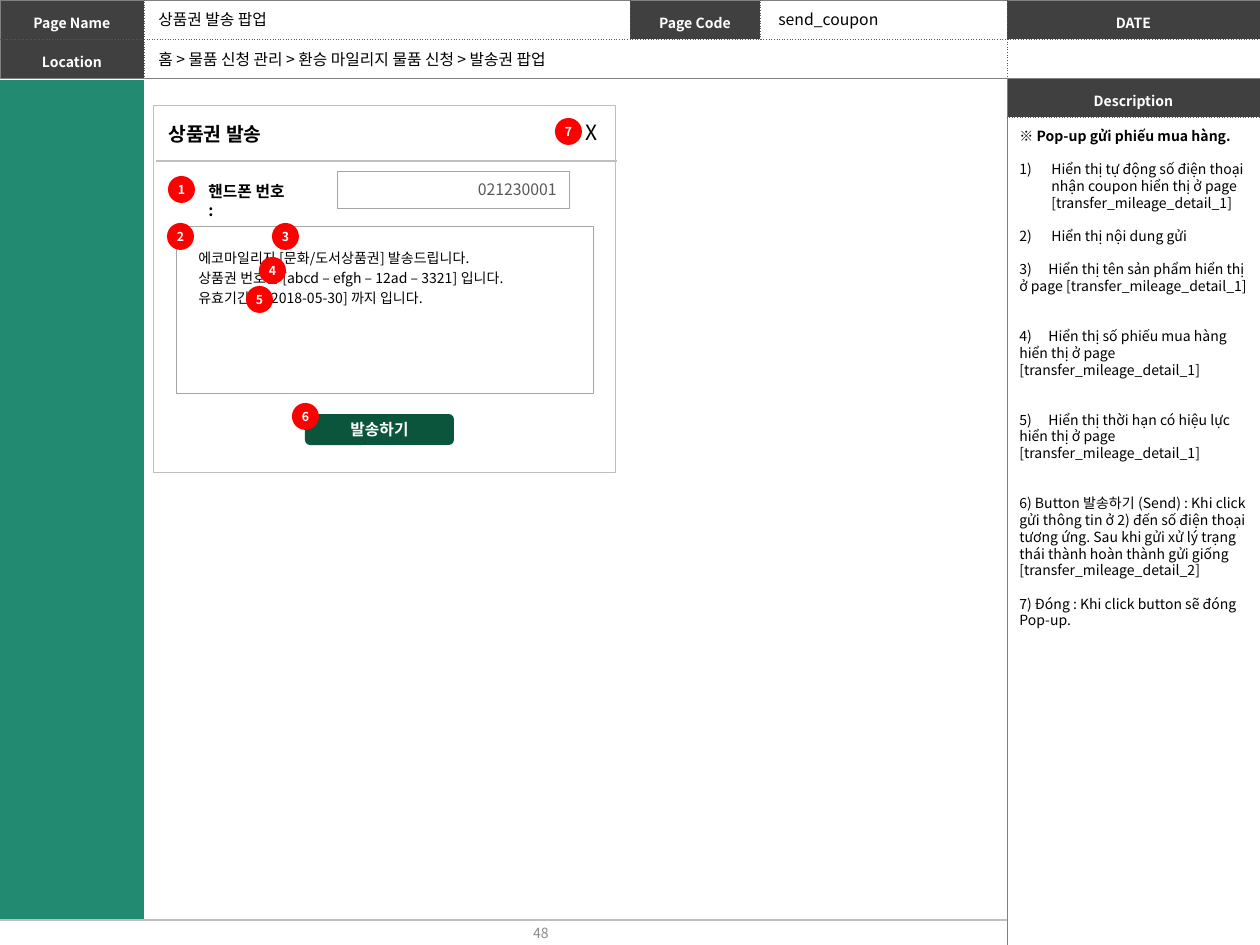
from lxml import etree
from pptx import Presentation
from pptx import util as u
from pptx.dml.color import RGBColor
from pptx.enum import shapes, text
from pptx.oxml.ns import qn

FONT = "Noto Sans CJK KR"
BLACK = RGBColor(0x00, 0x00, 0x00)
WHITE = RGBColor(0xFF, 0xFF, 0xFF)
CHARCOAL = RGBColor(0x40, 0x40, 0x40)
DARK_GRAY = RGBColor(0x59, 0x59, 0x59)
GRAY = RGBColor(0x80, 0x80, 0x80)
PAGE_GRAY = RGBColor(0x8C, 0x8C, 0x8C)
FIELD_GRAY = RGBColor(0xA6, 0xA6, 0xA6)
LIGHT_GRAY = RGBColor(0xBF, 0xBF, 0xBF)
TEAL = RGBColor(0x22, 0x8A, 0x71)
GREEN = RGBColor(0x0B, 0x55, 0x3C)
RED = RGBColor(0xFF, 0x00, 0x00)

LEFT, CENTER, RIGHT = text.PP_ALIGN.LEFT, text.PP_ALIGN.CENTER, text.PP_ALIGN.RIGHT
RECT, ROUND, OVAL = (shapes.MSO_SHAPE.RECTANGLE, shapes.MSO_SHAPE.ROUNDED_RECTANGLE,
                     shapes.MSO_SHAPE.OVAL)
BADGE = 27
HANGING = 32
BLANK_LINE = 9.5

HEADER = [["Page Name", "", "Page Code", "", "DATE"], ["Location", "", "", "", ""]]
HEADER_COLUMNS = [144, 486, 130, 247, 253]
HEADER_ROWS = [39, 39]
SIDEBAR = [["Description"], [""]]
SIDEBAR_ROWS = [39, 828]

NOTES = [
    ("plain", 0, "※ Pop-up gửi phiếu mua hàng."),
    ("number", 1, "Hiển thị tự động số điện thoại nhận coupon hiển thị ở page [transfer_mileage_detail_1]"),
    ("number", 1, "Hiển thị nội dung gửi"),
    ("tab", 1, "3)\tHiển thị tên sản phẩm hiển thị ở page [transfer_mileage_detail_1]"),
    ("tab", 2, "4)\tHiển thị số phiếu mua hàng hiển thị ở page [transfer_mileage_detail_1]"),
    ("tab", 2, "5)\tHiển thị thời hạn có hiệu lực hiển thị ở page [transfer_mileage_detail_1]"),
    ("plain", 2, "6) Button 발송하기 (Send) : Khi click gửi thông tin ở 2) đến số điện thoại tương ứng. "
                 "Sau khi gửi xử lý trạng thái thành hoàn thành gửi giống [transfer_mileage_detail_2]"),
    ("plain", 1, "7) Đóng : Khi click button sẽ đóng Pop-up."),
]
MESSAGE = [
    "에코마일리지 [문화/도서상품권] 발송드립니다.",
    "상품권 번호는 [abcd – efgh – 12ad – 3321] 입니다.",
    "유효기간은 [2018-05-30] 까지 입니다.",
]
LABELS = [
    ("상품권 발송", (156, 116, 122, 37), dict(size=11, bold=True)),
    ("X", (573, 113, 39, 38), dict(size=12)),
    ("핸드폰 번호\t:", (196, 176, 118, 32), dict(size=9, bold=True, tab=89)),
    ("상품권 발송 팝업", (146, 4, 140, 32), dict(size=9)),
    ("send_coupon", (766, 4, 125, 32), dict(size=9)),
]
BREADCRUMB = "홈 > 물품 신청 관리 > 환승 마일리지 물품 신청 > 발송권 팝업"
BADGES = {"1": (168, 176), "2": (167, 223), "3": (272, 223), "6": (292, 403),
          "4": (259, 257), "5": (246, 286), "7": (555, 118)}


def px(count):
    return u.Emu(round(count * 914400 / 126))


def write(frame, content, size=8, color=BLACK, bold=False, align=LEFT, spacing=None,
          before=0, tab=None, numbered=False, append=False):
    para = frame.add_paragraph() if append else frame.paragraphs[0]
    props = para._p.get_or_add_pPr()
    if numbered:
        props.set("marL", str(px(HANGING)))
        props.set("indent", str(-px(HANGING)))
        etree.SubElement(props, qn("a:buFont"), typeface=FONT)
        etree.SubElement(props, qn("a:buAutoNum"), type="arabicParenR")
    if tab:
        stops = etree.SubElement(props, qn("a:tabLst"))
        etree.SubElement(stops, qn("a:tab"), pos=str(px(tab)), algn="l")
    para.alignment = align
    if spacing:
        para.line_spacing = spacing
    if before:
        para.space_before = u.Pt(before)
    if not content:
        etree.SubElement(para._p, qn("a:endParaRPr"), sz=str(size * 100))
        return
    span = para.add_run()
    span.text = content
    span.font.size = u.Pt(size)
    span.font.bold = bold
    span.font.color.rgb = color
    span.font.name = FONT
    etree.SubElement(span._r.get_or_add_rPr(), qn("a:ea"), typeface=FONT)


def add_text(page, area, wrap=True, grow=True):
    frame = page.shapes.add_textbox(*map(px, area)).text_frame
    frame.word_wrap = wrap
    frame.auto_size = text.MSO_AUTO_SIZE.SHAPE_TO_FIT_TEXT if grow else text.MSO_AUTO_SIZE.NONE
    return frame


def add_box(page, kind, area, fill, line=None):
    box = page.shapes.add_shape(kind, *map(px, area))
    box.shadow.inherit = False
    box.fill.solid()
    box.fill.fore_color.rgb = fill
    if line:
        box.line.color.rgb = line
        box.line.width = u.Pt(0.25)
    else:
        box.line.fill.background()
    box.text_frame.vertical_anchor = text.MSO_ANCHOR.MIDDLE
    return box


def add_rule(page, left, right, y, width):
    rule = page.shapes.add_connector(shapes.MSO_CONNECTOR.STRAIGHT, px(left), px(y), px(right), px(y))
    rule.line.color.rgb = LIGHT_GRAY
    rule.line.width = u.Pt(width)
    etree.SubElement(rule._element.spPr, qn("a:effectLst"))


def add_border(cell, side, outer):
    line = etree.SubElement(cell._tc.get_or_add_tcPr(), qn("a:ln" + side), w=str(u.Pt(0.5)))
    fill = etree.SubElement(line, qn("a:solidFill"))
    etree.SubElement(fill, qn("a:srgbClr"), val=str(GRAY if outer else DARK_GRAY))
    etree.SubElement(line, qn("a:prstDash"), val="solid" if outer else "sysDot")


def add_grid(page, left, top, columns, rows, content):
    area = (left, top, sum(columns), sum(rows))
    table = page.shapes.add_table(len(rows), len(columns), *map(px, area)).table
    table.first_row = table.horz_banding = False
    for column, width in zip(table.columns, columns):
        column.width = px(width)
    for row, height in zip(table.rows, rows):
        row.height = px(height)
    for r, labels in enumerate(content):
        for c, label in enumerate(labels):
            cell = table.cell(r, c)
            cell.margin_left = cell.margin_right = cell.margin_top = cell.margin_bottom = px(5)
            cell.vertical_anchor = text.MSO_ANCHOR.MIDDLE
            edges = {"L": c == 0, "R": c == len(columns) - 1,
                     "T": r == 0, "B": r == len(rows) - 1}
            for side, outer in edges.items():
                add_border(cell, side, outer)
            if label:
                cell.fill.solid()
                cell.fill.fore_color.rgb = CHARCOAL
            else:
                cell.fill.background()
            write(cell.text_frame, label, color=WHITE, bold=True, align=CENTER, spacing=1.3)
    return table


def main():
    deck = Presentation()
    deck.slide_width, deck.slide_height = px(1260), px(945)
    page = deck.slides.add_slide(deck.slide_layouts[6])

    header = add_grid(page, 0, 0, HEADER_COLUMNS, HEADER_ROWS, HEADER)
    header.cell(1, 1).merge(header.cell(1, 3))
    add_grid(page, 1007, 78, HEADER_COLUMNS[-1:], SIDEBAR_ROWS, SIDEBAR)
    add_rule(page, 0, 1007, 920, 1.5)
    add_box(page, RECT, (0, 80, 144, 839), TEAL)

    notes = add_text(page, (1007, 121, 253, 538))
    for index, (kind, gap, note) in enumerate(NOTES):
        write(notes, note, bold=index == 0, before=gap * BLANK_LINE, append=index > 0,
              numbered=kind == "number", tab=29 if kind == "tab" else None)

    number = add_text(page, (394, 908, 294, 50), grow=False)
    number.vertical_anchor = text.MSO_ANCHOR.MIDDLE
    write(number, "48", color=PAGE_GRAY, align=CENTER)

    add_box(page, RECT, (153, 105, 462, 367), WHITE, LIGHT_GRAY)
    add_box(page, RECT, (176, 226, 417, 167), WHITE, FIELD_GRAY)
    add_rule(page, 156, 617, 161, 0.75)
    message = add_text(page, (186, 240, 389, 74))
    for index, sentence in enumerate(MESSAGE):
        write(message, sentence, spacing=1.2, append=index > 0)
    phone = add_box(page, RECT, (337, 171, 232, 37), WHITE, FIELD_GRAY)
    write(phone.text_frame, "021230001", size=9, color=DARK_GRAY, align=RIGHT)
    send = add_box(page, ROUND, (305, 414, 149, 31), GREEN)
    write(send.text_frame, "발송하기", size=9, color=WHITE, bold=True, align=CENTER)

    for label, area, style in LABELS:
        write(add_text(page, area, wrap=False), label, **style)
    write(add_text(page, (146, 44, 440, 32)), BREADCRUMB, size=9)

    for digit, (left, top) in BADGES.items():
        frame = add_box(page, OVAL, (left, top, BADGE, BADGE), RED).text_frame
        frame.margin_left = frame.margin_right = frame.margin_top = frame.margin_bottom = 0
        write(frame, digit, size=7, color=WHITE, bold=True, align=CENTER)

    deck.save("out.pptx")


if __name__ == "__main__":
    main()
